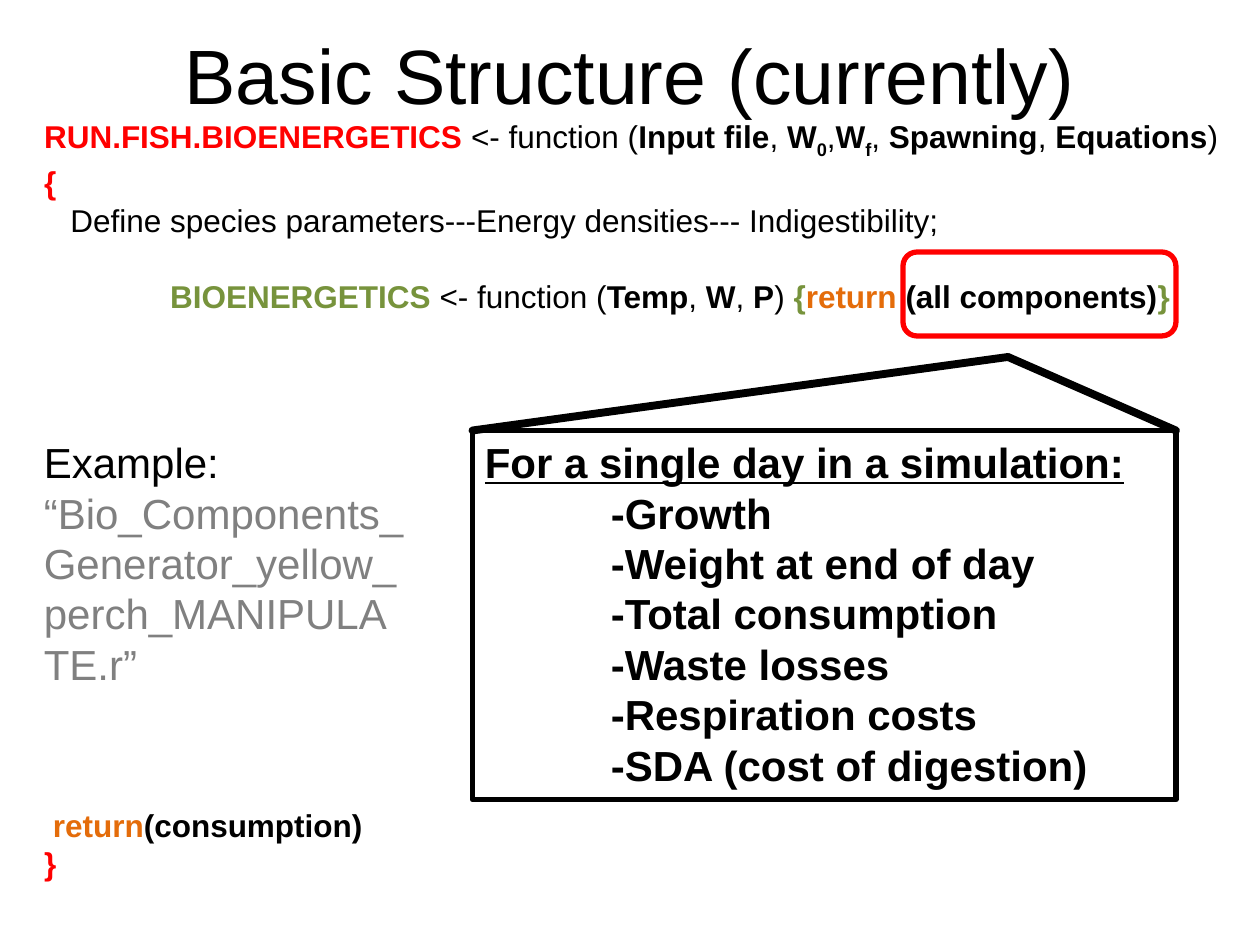
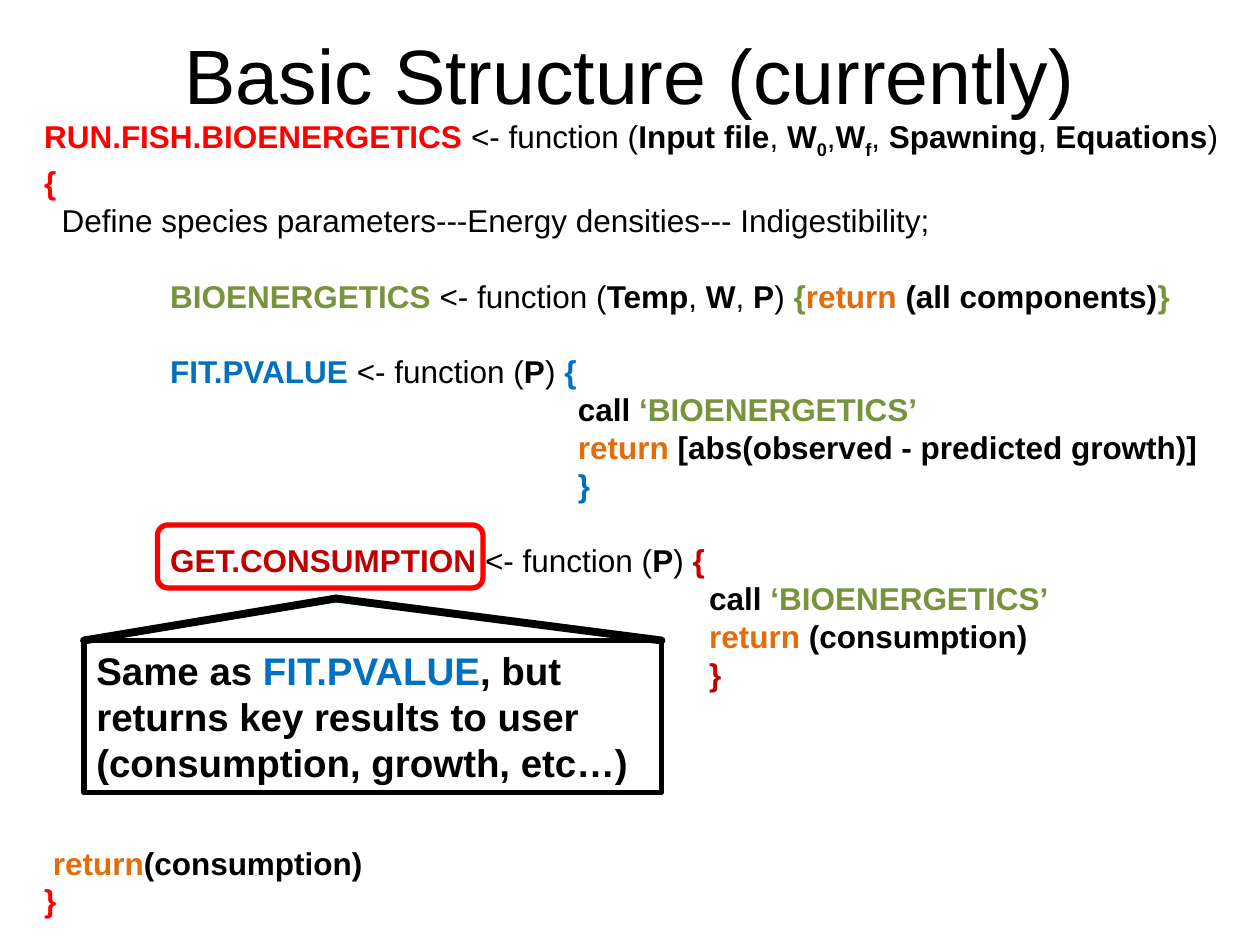
from dataclasses import dataclass
from typing import NamedTuple

import lxml.etree
import pptx
import pptx.dml.color
import pptx.enum.shapes
import pptx.enum.text
import pptx.oxml.ns
import pptx.util

Pt = pptx.util.Pt
SHAPES = pptx.enum.shapes.MSO_SHAPE
ALIGN = pptx.enum.text.PP_ALIGN
ANCHOR = pptx.enum.text.MSO_ANCHOR

FONT = "Arial"
BLACK, GRAY, RED, DARK = "000000", "808080", "FF0000", "C00000"
GREEN, BLUE, ORANGE = "77933C", "0070C0", "E46C0A"
CODE = 18
PITCH = 1.2
TAB = 72


class Box(NamedTuple):
    left: float
    top: float
    width: float
    height: float


class Word(NamedTuple):
    text: str
    hue: str = BLACK
    bold: bool = True
    under: bool = False
    base: int = 0


@dataclass(frozen=True)
class Row:
    words: tuple[Word, ...]
    left: float = 0
    gap: int = 0
    after: float = 0


@dataclass(frozen=True)
class Callout:
    ring: Box
    tip: tuple[float, float]
    box: Box
    size: float
    rows: tuple[Row, ...]


def plain(text: str) -> Word:
    return Word(text, bold=False)


def paint(target, hue: str) -> None:
    target.rgb = pptx.dml.color.RGBColor.from_string(hue)


def place(shape, box: Box) -> None:
    shape.left, shape.top, shape.width, shape.height = map(Pt, box)


def write(para, text: str, *, size: float, hue: str = BLACK, bold: bool = False,
          under: bool = False, base: int = 0) -> None:
    run = para.add_run()
    run.text = text
    font = run.font
    font.name, font.size, font.bold, font.underline = FONT, Pt(size), bold, under
    paint(font.color, hue)
    if base:
        run._r.get_or_add_rPr().set("baseline", str(base * 1000))


def fill(frame, rows: tuple[Row, ...], size: float) -> None:
    frame.word_wrap = True
    frame.auto_size = pptx.enum.text.MSO_AUTO_SIZE.NONE
    frame.vertical_anchor = ANCHOR.TOP
    for index, row in enumerate(rows):
        para = frame.add_paragraph() if index else frame.paragraphs[0]
        para.alignment = ALIGN.LEFT
        para.line_spacing = Pt(size * PITCH)
        para.space_before = Pt(row.gap * size * PITCH)
        para.space_after = Pt(row.after)
        props = para._p.get_or_add_pPr()
        props.set("marL", str(Pt(row.left)))
        props.set("indent", "0")
        lxml.etree.SubElement(props, pptx.oxml.ns.qn("a:buNone"))
        for word in row.words:
            write(para, word.text, size=size, hue=word.hue, bold=word.bold,
                  under=word.under, base=word.base)


def frame(slide, kind, box: Box, hue: str):
    shape = slide.shapes.add_shape(kind, *map(Pt, box))
    shape.shadow.inherit = False
    shape.fill.background()
    shape.line.width = Pt(3)
    paint(shape.line.color, hue)
    return shape


def link(slide, start: tuple[float, float], end: tuple[float, float]) -> None:
    line = slide.shapes.add_connector(
        pptx.enum.shapes.MSO_CONNECTOR.STRAIGHT, *map(Pt, start + end))
    line.line.width = Pt(4.5)
    paint(line.line.color, BLACK)
    props = line._element.spPr
    props.find(pptx.oxml.ns.qn("a:ln")).set("cap", "rnd")
    lxml.etree.SubElement(props, pptx.oxml.ns.qn("a:effectLst"))


def point(slide, call: Callout) -> None:
    shape = frame(slide, SHAPES.RECTANGLE, call.box, BLACK)
    fill(shape.text_frame, call.rows, call.size)
    for edge in (call.box.left, call.box.left + call.box.width):
        link(slide, call.tip, (edge, call.box.top))
    frame(slide, SHAPES.ROUNDED_RECTANGLE, call.ring, RED)


def start(deck, indent: float, steps: tuple[Row, ...], gap: int, height: float):
    slide = deck.slides.add_slide(deck.slide_layouts[1])
    title, body = slide.placeholders
    place(title, Box(0, 6, 720, 72))
    title.text_frame.vertical_anchor = ANCHOR.MIDDLE
    para = title.text_frame.paragraphs[0]
    para.alignment = ALIGN.CENTER
    write(para, "Basic Structure (currently)", size=44)
    place(body, Box(18, 66, 720, height))
    define = "Define species parameters---Energy densities--- Indigestibility;"
    rows = (HEAD, Row((Word("{", RED),)), Row((plain(define),), indent), BIO,
            *steps, Row((Word("return", ORANGE), Word("(consumption)")), 5, gap),
            Row((Word("}", RED),)))
    fill(body.text_frame, rows, CODE)
    return slide


def invoke(name: str, hue: str, left: float, result: str) -> tuple[Row, ...]:
    return (
        Row((Word(name, hue), plain(" <- function ("), Word("P"), plain(") "),
             Word("{", hue)), TAB, 1),
        Row((Word("call"), Word(" ‘BIOENERGETICS’", GREEN)), left),
        Row((Word("return ", ORANGE), Word(result)), left),
        Row((Word("}", hue),), left),
    )


HEAD = Row((
    Word("RUN.FISH.BIOENERGETICS", RED), plain(" <- function ("),
    Word("Input file"), plain(", "), Word("W"), Word("0", base=-25), plain(","),
    Word("W"), Word("f", base=-25), plain(", "), Word("Spawning"), plain(", "),
    Word("Equations"), plain(")")), after=2)

BIO = Row((
    Word("BIOENERGETICS", GREEN), plain(" <- function ("), Word("Temp"),
    plain(", "), Word("W"), plain(", "), Word("P"), plain(") "),
    Word("{", GREEN), Word("return ", ORANGE), Word("(all components)"),
    Word("}", GREEN)), TAB, 1)

STEPS = (
    *invoke("FIT.PVALUE", BLUE, 305, "[abs(observed - predicted growth)]"),
    *invoke("GET.CONSUMPTION", DARK, 380, "(consumption)"),
)

OUTPUTS = ("Growth", "Weight at end of day", "Total consumption", "Waste losses",
           "Respiration costs", "SDA (cost of digestion)")

DAILY = Callout(
    Box(516, 144, 156, 48), (576, 204), Box(270, 246, 402, 211), 24,
    (Row((Word("For a single day in a simulation:", under=True),)),
     *(Row((Word(f"-{name}"),), TAB) for name in OUTPUTS)))

RESULTS = Callout(
    Box(90, 300, 186, 36), (192, 342), Box(48, 366, 330, 87), 22,
    (Row((Word("Same as "), Word("FIT.PVALUE", BLUE),
          Word(", but returns key results to user (consumption, growth, etc…)"))),))

SAMPLE = (
    Row((plain("Example:"),)),
    Row((Word("“Bio_Components_Generator_yellow_perch_MANIPULATE.r”", GRAY, False),)),
)


def main() -> None:
    deck = pptx.Presentation()
    deck.slide_width, deck.slide_height = Pt(720), Pt(540)

    first = start(deck, 15, (), 13, 443.5)
    point(first, DAILY)
    note = first.shapes.add_textbox(*map(Pt, Box(18, 246, 222, 153)))
    fill(note.text_frame, SAMPLE, 24)

    second = start(deck, 10, STEPS, 4, 465)
    point(second, RESULTS)

    deck.save("out.pptx")


if __name__ == "__main__":
    main()
